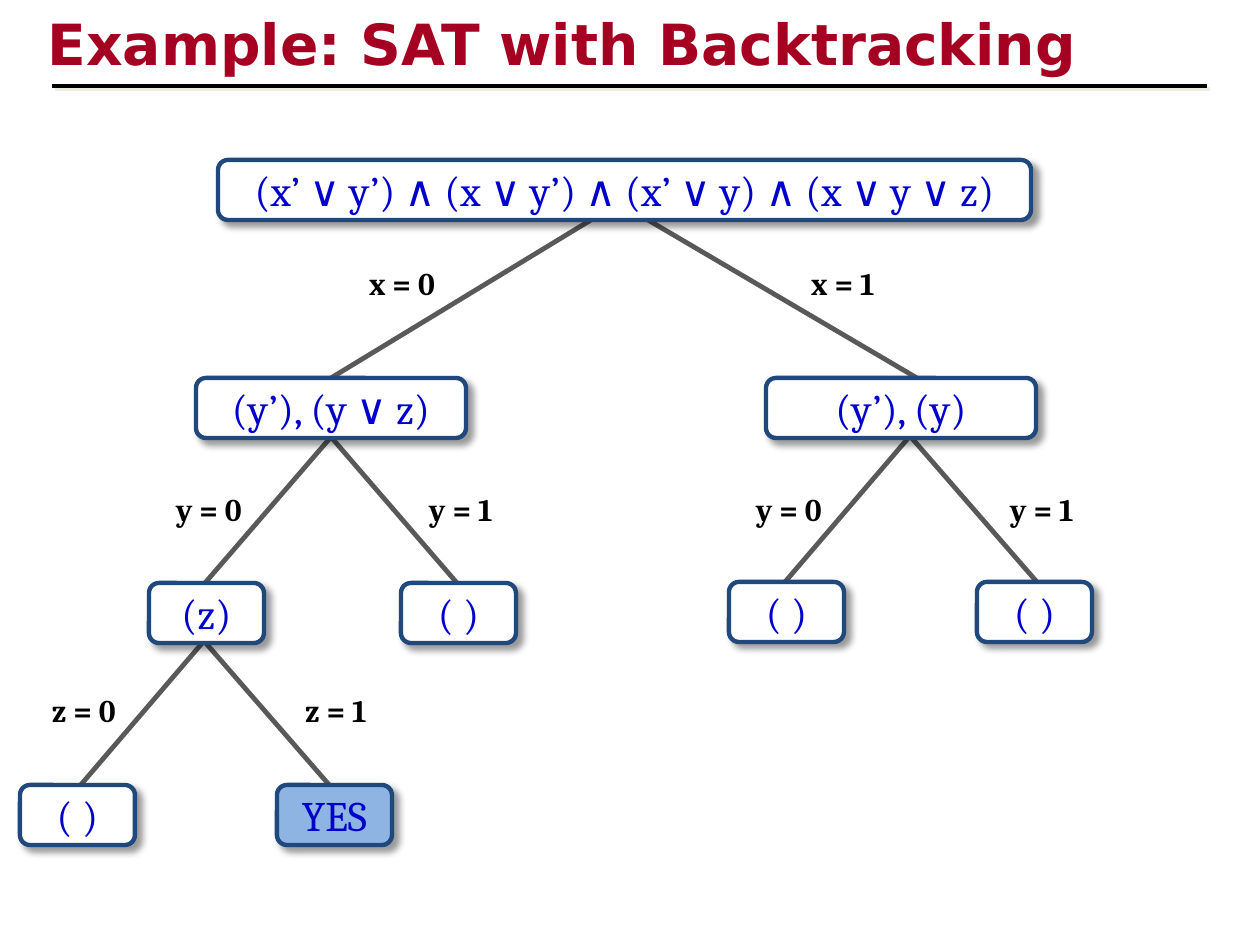
from lxml.etree import SubElement
from pptx import Presentation
from pptx.dml.color import RGBColor
from pptx.enum.shapes import MSO_CONNECTOR, MSO_SHAPE
from pptx.enum.text import MSO_ANCHOR, PP_ALIGN
from pptx.oxml.ns import qn
from pptx.util import Emu, Pt

SCALE = 914400 / 126
COLORS = {
    "title": "A50021", "rule": "000000", "title_shadow": "EEECE1",
    "edge": "595959", "label": "000000", "border": "1F497D",
    "formula": "0000CC", "open": "FFFFFF", "solved": "8EB4E3", "shadow": "000000",
}
FONTS = {
    "title": {"name": "DejaVu Sans", "size": Pt(32.4), "bold": True},
    "label": {"name": "Cambria", "size": Pt(18), "bold": True},
    "formula": {"name": "Cambria", "size": Pt(24), "bold": False},
}
SHADOWS = {
    "title": {"color": "title_shadow", "alpha": 100, "blur": 0, "distance": 2.8},
    "box": {"color": "shadow", "alpha": 40, "blur": 4, "distance": 4},
}


def set_effects(properties, kind=None):
    effects = SubElement(properties, qn("a:effectLst"))
    if kind:
        shadow = SHADOWS[kind]
        outer = SubElement(effects, qn("a:outerShdw"), blurRad=str(Pt(shadow["blur"])),
                           dist=str(Pt(shadow["distance"])), dir="2700000",
                           algn="tl", rotWithShape="0")
        color = SubElement(outer, qn("a:srgbClr"), val=COLORS[shadow["color"]])
        SubElement(color, qn("a:alpha"), val=str(shadow["alpha"] * 1000))


def write_text(shape, text, kind, alignment=PP_ALIGN.CENTER):
    frame = shape.text_frame
    for name, value in {"word_wrap": False, "vertical_anchor": MSO_ANCHOR.MIDDLE}.items():
        setattr(frame, name, value)
    paragraph = frame.paragraphs[0]
    paragraph.alignment = alignment
    run = paragraph.add_run()
    run.text = text
    if kind == "title":
        set_effects(run.font._element, kind)
    for name, value in FONTS[kind].items():
        setattr(run.font, name, value)
    run.font.color.rgb = RGBColor.from_string(COLORS[kind])


presentation = Presentation()
presentation.slide_width = Emu(round(1260 * SCALE))
presentation.slide_height = Emu(round(945 * SCALE))
slide = presentation.slides.add_slide(presentation.slide_layouts[5])

title = slide.shapes.title
for name, value in {"left": 35, "top": 1, "width": 1071, "height": 84}.items():
    setattr(title, name, Emu(round(value * SCALE)))
write_text(title, "Example: SAT with Backtracking", "title", PP_ALIGN.LEFT)

lines = [
    (591, 220, 331, 378, "edge"), (648, 220, 917, 378, "edge"),
    (331, 437, 205, 583, "edge"), (331, 437, 457, 583, "edge"),
    (910, 436, 785, 582, "edge"), (910, 436, 1037, 582, "edge"),
    (204, 641, 79, 787, "edge"), (204, 641, 331, 787, "edge"),
    (52, 86, 1207, 86, "rule"),
]
for *ends, kind in lines:
    line = slide.shapes.add_connector(
        MSO_CONNECTOR.STRAIGHT, *[Emu(round(value * SCALE)) for value in ends])
    line.line.color.rgb = RGBColor.from_string(COLORS[kind])
    line.line.width = Pt(2.75 if kind == "edge" else 2.25)
    set_effects(line._element.spPr, "title" if kind == "rule" else None)

boxes = [
    (218, 160, 813, "(x’ ∨ y’) ∧ (x ∨ y’) ∧ (x’ ∨ y) ∧ (x ∨ y ∨ z)", "open"),
    (196, 378, 270, "(y’), (y ∨ z)", "open"),
    (766, 378, 270, "(y’), (y)", "open"),
    (149, 583, 115, "(z)", "open"),
    (401, 583, 115, "( )", "open"),
    (729, 582, 115, "( )", "open"),
    (977, 582, 115, "( )", "open"),
    (20, 785, 115, "( )", "open"),
    (277, 785, 115, "YES", "solved"),
]
for left, top, width, text, state in boxes:
    box = slide.shapes.add_shape(
        MSO_SHAPE.ROUNDED_RECTANGLE,
        *[Emu(round(value * SCALE)) for value in (left, top, width, 60)])
    box.fill.solid()
    box.fill.fore_color.rgb = RGBColor.from_string(COLORS[state])
    box.line.color.rgb = RGBColor.from_string(COLORS["border"])
    box.line.width = Pt(2.5)
    set_effects(box._element.spPr, "box")
    write_text(box, text, "formula")

labels = [
    ("x", 257, 377, 818),
    ("y", 483, 184, 436),
    ("y", 483, 764, 1017),
    ("z", 684, 59, 311),
]
for variable, top, *branches in labels:
    for value, left in enumerate(branches):
        label = slide.shapes.add_shape(
            MSO_SHAPE.OVAL, *[Emu(round(length * SCALE)) for length in (left, top, 50, 52)])
        label.fill.background()
        label.line.fill.background()
        label.shadow.inherit = False
        write_text(label, f"{variable} = {value}", "label")

presentation.save("out.pptx")
